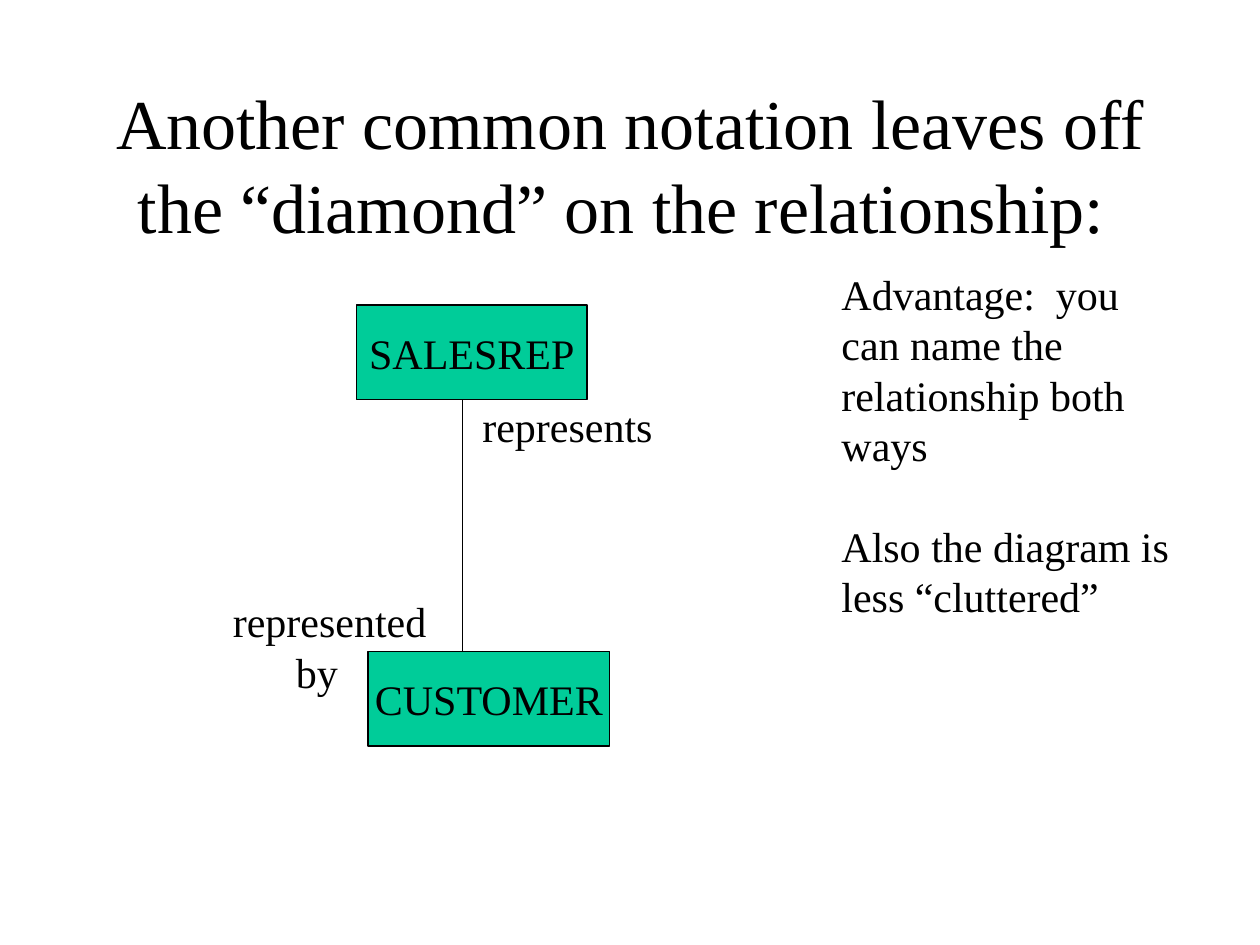
from pptx import Presentation
from pptx import util as u
from pptx.dml.color import RGBColor
from pptx.enum import shapes, text
from pptx.oxml.ns import qn
from lxml import etree

BLACK = RGBColor(0x00, 0x00, 0x00)
GREEN = RGBColor(0x00, 0xCC, 0x99)
LEFT, CENTER = text.PP_ALIGN.LEFT, text.PP_ALIGN.CENTER
TOP, MIDDLE = text.MSO_ANCHOR.TOP, text.MSO_ANCHOR.MIDDLE


def inches(*values):
    return [u.Inches(v) for v in values]


class Diagram:
    font = "Times New Roman"
    line_width = u.Pt(0.75)

    def __init__(self, slide):
        self.slide = slide
        self.group = slide.shapes.add_group_shape()

    def set_text(self, sp, lines, size=24, align=LEFT, gap=0, **frame):
        """Fill a shape with paragraphs; gap is the space before all but the first."""
        tf = sp.text_frame
        tf.text = "\n".join(lines)
        for name, value in frame.items():
            setattr(tf, name, value)
        style = {"name": self.font, "size": u.Pt(size)}
        for i, p in enumerate(tf.paragraphs):
            p.alignment = align
            p.space_before = u.Pt(gap if i else 0)
            for r in p.runs:
                for name, value in style.items():
                    setattr(r.font, name, value)
                r.font.color.rgb = BLACK
        return tf

    def title(self, words, box):
        sp = self.slide.shapes.title
        sp.left, sp.top, sp.width, sp.height = inches(*box)
        self.set_text(sp, [words], 40, CENTER, vertical_anchor=MIDDLE,
                      word_wrap=True, auto_size=text.MSO_AUTO_SIZE.NONE)

    def note(self, lines, box, gap):
        sp = self.slide.shapes.add_textbox(*inches(*box))
        self.set_text(sp, lines, gap=gap, word_wrap=True)

    def entity(self, name, box):
        sp = self.group.shapes.add_shape(shapes.MSO_SHAPE.RECTANGLE, *inches(*box))
        sp.shadow.inherit = False
        sp.fill.solid()
        sp.fill.fore_color.rgb = GREEN
        sp.line.color.rgb = BLACK
        sp.line.width = self.line_width
        self.set_text(sp, [name], align=CENTER, vertical_anchor=MIDDLE, word_wrap=False)

    def relationship(self, *ends):
        line = self.group.shapes.add_connector(
            shapes.MSO_CONNECTOR.STRAIGHT, *inches(*ends))
        line.line.color.rgb = BLACK
        line.line.width = self.line_width
        etree.SubElement(line._element.spPr, qn("a:effectLst"))

    def role(self, lines, box, indent=0):
        """Label one end of the relationship; indent moves the later lines right."""
        sp = self.group.shapes.add_textbox(*inches(*box))
        tf = self.set_text(sp, lines, vertical_anchor=TOP, word_wrap=False)
        for p in tf.paragraphs[1:]:
            p._p.get_or_add_pPr().set("marL", str(u.Inches(indent)))


def main():
    prs = Presentation()
    prs.slide_width, prs.slide_height = inches(10, 7.5)
    d = Diagram(prs.slides.add_slide(prs.slide_layouts[5]))

    d.title("Another common notation leaves off the “diamond” on the relationship: ",
            (0.75, 0.67, 8.5, 1.25))
    d.note(["Advantage:  you can name the relationship both ways",
            "Also the diagram is less “cluttered”"],
           (6.58, 2.08, 2.84, 2.9), gap=28.8)
    d.entity("SALESREP", (2.83, 2.42, 1.83, 0.75))
    d.entity("CUSTOMER", (2.92, 5.17, 1.92, 0.75))
    d.relationship(3.67, 3.17, 3.67, 5.17)
    d.role(["represents"], (3.73, 3.13, 1.55, 0.5))
    d.role(["represented", "by"], (1.75, 4.68, 1.75, 0.91), indent=0.5)

    prs.save("out.pptx")


if __name__ == "__main__":
    main()
